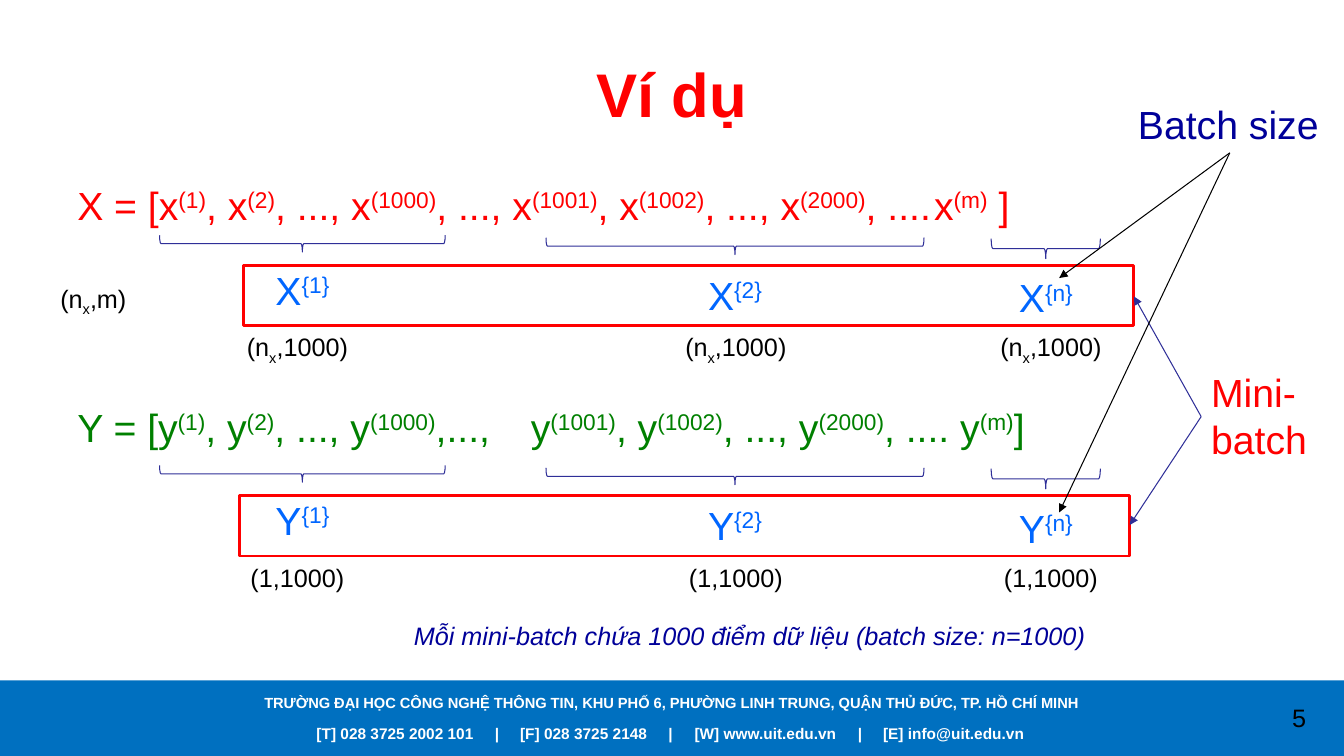
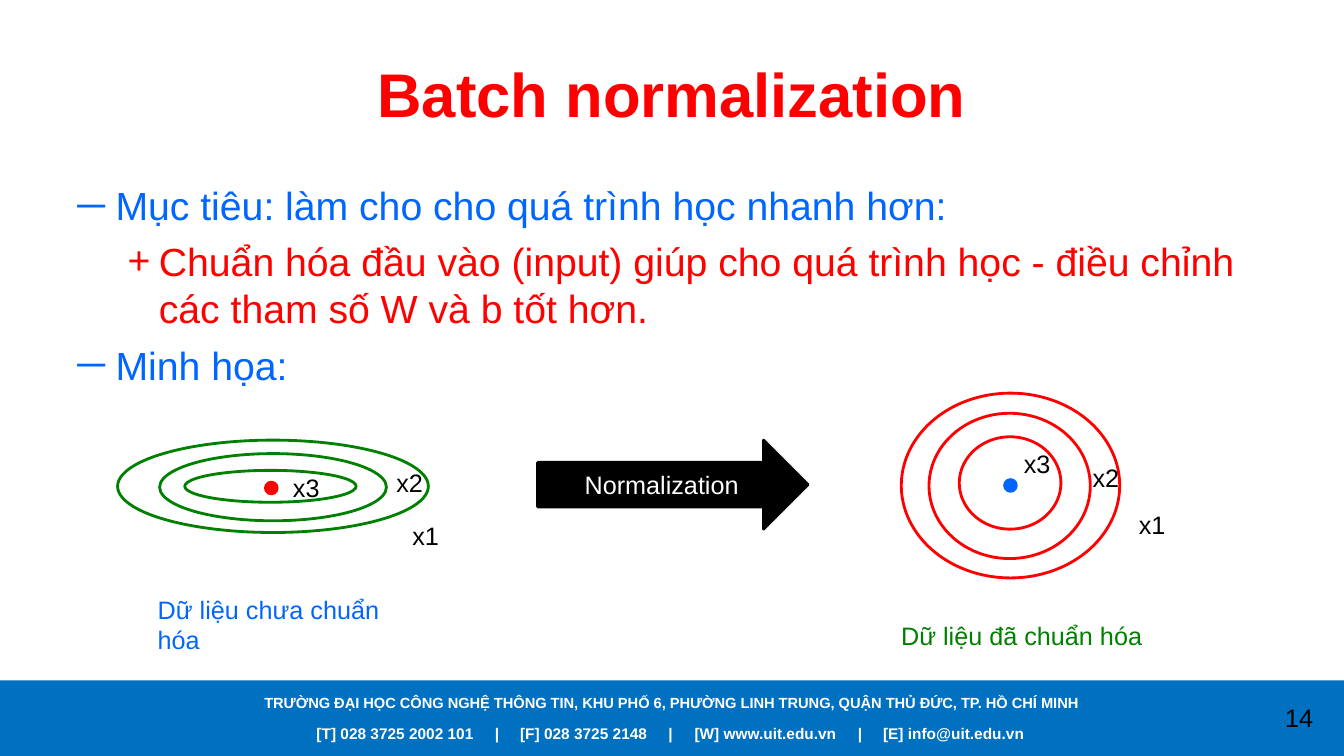
from lxml import etree
from pptx import Presentation, util as u
from pptx.dml import color
from pptx.enum import shapes, text
from pptx.oxml import ns

COLUMNS, ROWS = 160, 90
WIDTH, HEIGHT = u.Inches(13.333), u.Inches(7.5)
FONT = "Arial"
RED, GREEN, BLUE, NAVY = "FF0000", "008000", "0066FF", "000099"
INDIGO, BAND, BLACK, WHITE = "2F2F98", "0070C0", "000000", "FFFFFF"
LEFT, CENTER = text.PP_ALIGN.LEFT, text.PP_ALIGN.CENTER
TITLE_AREA = (8, 3.6, 144, 15)
ADDRESS = ("TRƯỜNG ĐẠI HỌC CÔNG NGHỆ THÔNG TIN, KHU PHỐ 6, PHƯỜNG LINH TRUNG, "
           "QUẬN THỦ ĐỨC, TP. HỒ CHÍ MINH")
CONTACTS = ("[T] 028 3725 2002 101", "[F] 028 3725 2148",
            "[W] www.uit.edu.vn", "[E] info@uit.edu.vn")
CONTACT_TABS = (1.77, 2.02, 3.49, 3.75, 5.37, 5.62)


def rgb(value):
    """Turn a hex string into a colour."""
    return color.RGBColor.from_string(value)


def across(columns):
    """Length of a number of grid columns."""
    return round(WIDTH * columns / COLUMNS)


def down(rows):
    """Length of a number of grid rows."""
    return round(HEIGHT * rows / ROWS)


def place(area):
    """Turn left, top, width and height in grid units into lengths."""
    left, top, width, height = area
    return across(left), down(top), across(width), down(height)


def style(para, size, ink, bold=False, italic=False, align=LEFT):
    """Format every run of a paragraph."""
    para.alignment = align
    for span in para.runs:
        font = span.font
        font.name, font.size = FONT, u.Pt(size)
        font.bold, font.italic = bold, italic
        font.color.rgb = rgb(ink)


def write_shifted(para, marked, shift):
    """Write text in which every second part between ~ is raised or lowered."""
    for index, part in enumerate(marked.split("~")):
        span = para.add_run()
        span.text = part
        if index % 2:
            span._r.get_or_add_rPr().set("baseline", str(shift * 1000))


def add_tabs(para, stops):
    """Give a paragraph left tab stops, in inches."""
    tabs = etree.SubElement(para._p.get_or_add_pPr(), ns.qn("a:tabLst"))
    for stop in stops:
        etree.SubElement(tabs, ns.qn("a:tab"), pos=str(u.Inches(stop)), algn="l")


def set_bullet(para, mark=None, margin=0, hang=0):
    """Set or remove a bullet and its hanging indent, in inches."""
    props = para._p.get_or_add_pPr()
    props.set("marL", str(u.Inches(margin)))
    props.set("indent", str(-u.Inches(hang)))
    if mark:
        etree.SubElement(props, ns.qn("a:buFont"), typeface=FONT)
        etree.SubElement(props, ns.qn("a:buChar"), char=mark)
    else:
        etree.SubElement(props, ns.qn("a:buNone"))


def add_label(page, area, words, size=18, ink=BLACK, shift=30, **look):
    """Add a text box holding one paragraph."""
    frame = page.shapes.add_textbox(*place(area)).text_frame
    frame.word_wrap = True
    para = frame.paragraphs[0]
    write_shifted(para, words, shift)
    style(para, size, ink, **look)
    return para


def add_figure(page, kind, area, fill=None, line=None, weight=2):
    """Add a preset shape with an optional fill and outline."""
    figure = page.shapes.add_shape(kind, *place(area))
    figure.shadow.inherit = False
    if fill:
        figure.fill.solid()
        figure.fill.fore_color.rgb = rgb(fill)
    else:
        figure.fill.background()
    if line:
        figure.line.color.rgb = rgb(line)
        figure.line.width = u.Pt(weight)
    else:
        figure.line.fill.background()
    return figure


def add_brace(page, center, middle, width, depth):
    """Add a brace that opens upwards around a centre point."""
    area = (center - depth / 2, middle - width / 2, depth, width)
    brace = add_figure(page, shapes.MSO_SHAPE.LEFT_BRACE, area, line=INDIGO, weight=0.75)
    brace.rotation = 270


def add_arrow(page, start, end, ink):
    """Add a thin straight arrow between two grid points."""
    arrow = page.shapes.add_connector(
        shapes.MSO_CONNECTOR.STRAIGHT, across(start[0]), down(start[1]),
        across(end[0]), down(end[1]))
    arrow.line.color.rgb = rgb(ink)
    arrow.line.width = u.Pt(0.75)
    etree.SubElement(arrow.line._get_or_add_ln(), ns.qn("a:tailEnd"), type="triangle")
    etree.SubElement(arrow._element.spPr, ns.qn("a:effectLst"))


def position(holder, area):
    """Move a placeholder to a grid area and return its text frame."""
    holder.left, holder.top, holder.width, holder.height = place(area)
    frame = holder.text_frame
    frame.word_wrap = True
    frame.auto_size = text.MSO_AUTO_SIZE.NONE
    return frame


def add_page(deck, title, number, body_area):
    """Add a page with title and footer; return it and its body frame."""
    page = deck.slides.add_slide(deck.slide_layouts[1])
    add_figure(page, shapes.MSO_SHAPE.RECTANGLE, (0, 81, COLUMNS, 9), fill=BAND)
    add_label(page, (0, 82, COLUMNS, 3.4), ADDRESS, 10.5, WHITE, bold=True, align=CENTER)
    contacts = add_label(page, (36.5, 85.6, 90, 3.4), "\t|\t".join(CONTACTS),
                         11, WHITE, bold=True)
    add_tabs(contacts, CONTACT_TABS)
    add_label(page, (149.3, 83, 10.7, 4.8), str(number), align=CENTER)
    frame = position(page.shapes.title, TITLE_AREA)
    frame.text = title
    frame.vertical_anchor = text.MSO_ANCHOR.MIDDLE
    style(frame.paragraphs[0], 44, RED, bold=True, align=CENTER)
    return page, position(page.placeholders[1], body_area)


def add_batches(page, letter, size, offset, frame_left):
    """Add braces, batch names, batch sizes and a frame for one row of data."""
    groups = (("1", 36, 29, 34, 2, 31.1, 35.4),
              ("2", 87.5, 29.3, 45, 2, 31.7, 87.6),
              ("n", 124.5, 29.6, 13, 2.4, 32, 125.1))
    for name, center, middle, width, depth, top, size_center in groups:
        add_brace(page, center, middle + offset, width, depth)
        add_label(page, (center - 8, top + offset, 16, 6.8), f"{letter}~{{{name}}}",
                  28, BLUE, align=CENTER)
        add_label(page, (size_center - 8, 38.9 + offset, 16, 4.8), size,
                  shift=-25, align=CENTER)
    add_figure(page, shapes.MSO_SHAPE.RECTANGLE, (frame_left, 31.6 + offset, 106, 7.2),
               line=RED)


def add_rings(page, rings, ring_ink, dot, dot_ink, names):
    """Add nested ellipses with a centre dot and axis names."""
    for ring in rings:
        add_figure(page, shapes.MSO_SHAPE.OVAL, ring, line=ring_ink)
    for index, (left, top) in enumerate(names, 1):
        add_label(page, (left, top, 7, 4.8), f"x{index}")
    add_figure(page, shapes.MSO_SHAPE.OVAL, (*dot, 1.4, 1.4), fill=dot_ink, line=dot_ink)


def build_example(deck):
    """Build the page that splits data into mini-batches."""
    page, frame = add_page(deck, "Ví dụ", 5, (8, 21, 147, 59.4))
    series = (
        ("X = [x~(1)~, x~(2)~, ..., x~(1000)~, ..., x~(1001)~, x~(1002)~, ..., "
         "x~(2000)~, ....\tx~(m)~ ]", RED, 8.69, 0),
        ("Y = [y~(1)~, y~(2)~, ..., y~(1000)~,...,\ty~(1001)~, y~(1002)~, ..., "
         "y~(2000)~, .... y~(m)~]", GREEN, 4.31, 125))
    for index, (words, ink, stop, gap) in enumerate(series):
        para = frame.add_paragraph() if index else frame.paragraphs[0]
        para.space_before = u.Pt(gap)
        set_bullet(para)
        add_tabs(para, [stop])
        write_shifted(para, words, 30)
        style(para, 28, ink)
    add_batches(page, "X", "(n~x~,1000)", 0, 29)
    add_batches(page, "Y", "(1,1000)", 27.4, 28.5)
    add_label(page, (6, 33.1, 11.5, 4.8), "(n~x~,m)", shift=-25)
    add_label(page, (143, 43.3, 15.5, 12.5), "Mini-batch", 28, RED)
    add_label(page, (134.3, 11.3, 25, 6.8), "Batch size", 28, NAVY)
    add_label(page, (48.1, 73.2, 86, 4.8),
              "Mỗi mini-batch chứa 1000 điểm dữ liệu (batch size: n=1000)",
              ink=NAVY, italic=True)
    for end in ((135, 35.3), (134.5, 62.5)):
        add_arrow(page, (143, 49.6), end, INDIGO)
    for end in ((126.1, 33.1), (126.1, 61)):
        add_arrow(page, (146.4, 18.2), end, BLACK)


def build_normalization(deck):
    """Build the page that compares raw and normalized data."""
    page, frame = add_page(deck, "Batch normalization", 14, (8, 21, 144, 29))
    points = (
        ("Mục tiêu: làm cho cho quá trình học nhanh hơn:", 0),
        ("Chuẩn hóa đầu vào (input) giúp cho quá trình học - điều chỉnh "
         "các tham số W và b tốt hơn.", 1),
        ("Minh họa:", 0))
    levels = (("─", 0.38, 0.38, BLUE), ("+", 0.81, 0.31, RED))
    for index, (words, level) in enumerate(points):
        mark, margin, hang, ink = levels[level]
        para = frame.add_paragraph() if index else frame.paragraphs[0]
        para.text = words
        para.level = level
        para.space_before = u.Pt(6.5 if index else 0)
        set_bullet(para, mark, margin, hang)
        style(para, 28, ink)
    add_rings(page, ((14, 52.4, 37, 11), (19, 54, 27, 8), (22, 56, 20.4, 3.8)), GREEN,
              (31.6, 57.4), RED, ((47.9, 61.3), (46, 55.1), (33.7, 55.6)))
    add_rings(page, ((107.3, 46.8, 26, 22), (110.6, 49.2, 19.2, 17.3), (114.2, 52, 12.1, 11)),
              RED, (119.6, 57.1), BLUE, ((134.4, 60.1), (128.9, 54.5), (120.7, 52.8)))
    add_label(page, (17.6, 70.1, 33.8, 8.5), "Dữ liệu chưa chuẩn hóa", ink=BLUE)
    add_label(page, (106.1, 73.2, 33.8, 4.8), "Dữ liệu đã chuẩn hóa", ink=GREEN)
    arrow = add_figure(page, shapes.MSO_SHAPE.RIGHT_ARROW, (64, 52.4, 32.2, 10.6),
                       fill=BLACK, line=BLACK)
    arrow.text_frame.text = "Normalization"
    arrow.text_frame.vertical_anchor = text.MSO_ANCHOR.MIDDLE
    style(arrow.text_frame.paragraphs[0], 18, WHITE, align=CENTER)


def main():
    """Build and save the deck."""
    deck = Presentation()
    deck.slide_width, deck.slide_height = WIDTH, HEIGHT
    build_example(deck)
    build_normalization(deck)
    deck.save("out.pptx")


if __name__ == "__main__":
    main()
